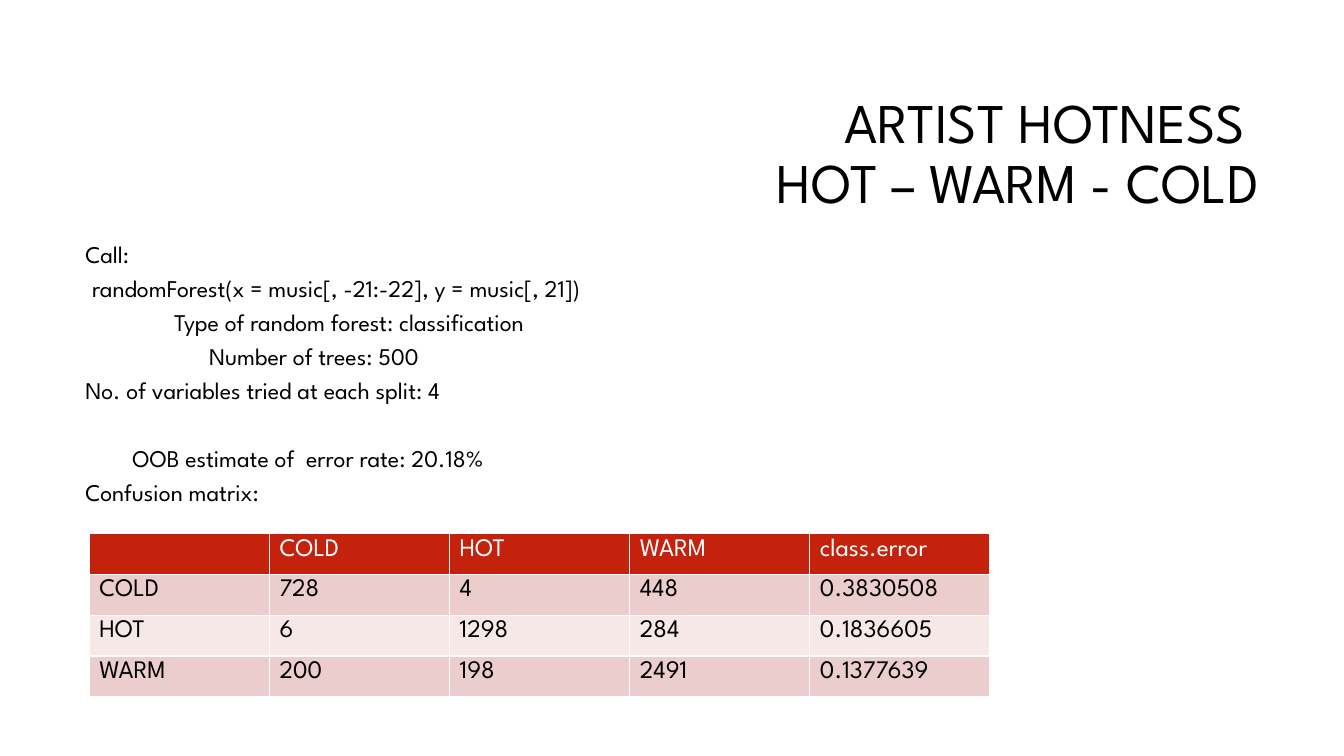
from lxml import etree
from pptx import Presentation
from pptx.dml.color import RGBColor
from pptx.enum.text import MSO_ANCHOR, PP_ALIGN
from pptx.oxml.ns import qn
from pptx.util import Cm, Pt

RIGHT = PP_ALIGN.RIGHT
MIDDLE = MSO_ANCHOR.MIDDLE
FONT = "League Spartan"
COLORS = {
    "text": "000000",
    "white": "FFFFFF",
    "header": "C4220D",
    "band_dark": "EACDCC",
    "band_light": "F5E8E7",
}


def add_run(paragraph, text, size, color="text"):
    run = paragraph.add_run()
    run.text = text
    run.font.name = FONT
    run.font.size = Pt(size)
    run.font.color.rgb = RGBColor.from_string(COLORS[color])


def add_borders(cell, color, width):
    properties = cell._tc.get_or_add_tcPr()
    for index, side in enumerate(("lnL", "lnR", "lnT", "lnB")):
        line = etree.Element(qn(f"a:{side}"), w=str(Pt(width)))
        fill = etree.SubElement(line, qn("a:solidFill"))
        etree.SubElement(fill, qn("a:srgbClr"), val=COLORS[color])
        properties.insert(index, line)


presentation = Presentation()
presentation.slide_width = Cm(33.87)
presentation.slide_height = Cm(19.05)
slide = presentation.slides.add_slide(presentation.slide_layouts[6])

# Title
title = slide.shapes.add_textbox(Cm(8.05), Cm(2.13), Cm(23.93), Cm(3.58))
title.text_frame.word_wrap = True
title.text_frame.vertical_anchor = MIDDLE
paragraph = title.text_frame.paragraphs[0]
paragraph.alignment = RIGHT
paragraph.line_spacing = 0.9
add_run(paragraph, "ARTIST HOTNESS ", 40)
paragraph.add_line_break()
add_run(paragraph, "HOT – WARM - COLD", 40)

# Model summary: text, left indent in cm, space before in points
summary_lines = [
    ("Call:", 0, 0),
    ("randomForest(x = music[, -21:-22], y = music[, 21])", 0.17, 10),
    ("Type of random forest: classification", 2.24, 10),
    ("Number of trees: 500", 3.12, 10),
    ("No. of variables tried at each split: 4", 0, 10),
    ("OOB estimate of  error rate: 20.18%", 1.19, 34.3),
    ("Confusion matrix:", 0, 10),
]
summary = slide.shapes.add_textbox(Cm(1.9), Cm(6.1), Cm(15.8), Cm(6.96))
frame = summary.text_frame
frame.word_wrap = True
for index, (text, indent, space_before) in enumerate(summary_lines):
    paragraph = frame.add_paragraph() if index else frame.paragraphs[0]
    paragraph.line_spacing = 0.7
    paragraph.space_before = Pt(space_before)
    paragraph._p.get_or_add_pPr().set("marL", str(Cm(indent)))
    add_run(paragraph, text, 17.1)

# Confusion matrix
matrix = [
    ("", "COLD", "HOT", "WARM", "class.error"),
    ("COLD", "728", "4", "448", "0.3830508"),
    ("HOT", "6", "1298", "284", "0.1836605"),
    ("WARM", "200", "198", "2491", "0.1377639"),
]
row_fills = ("header", "band_dark", "band_light", "band_dark")
table = slide.shapes.add_table(
    len(matrix), len(matrix[0]), Cm(2.25), Cm(13.44), Cm(22.7), Cm(4.12)
).table
for row_index, (values, fill_name) in enumerate(zip(matrix, row_fills)):
    for column_index, value in enumerate(values):
        cell = table.cell(row_index, column_index)
        cell.fill.solid()
        cell.fill.fore_color.rgb = RGBColor.from_string(COLORS[fill_name])
        add_borders(cell, "white", 1)
        if value:
            color = "text" if row_index else "white"
            add_run(cell.text_frame.paragraphs[0], value, 18, color)

presentation.save("out.pptx")
